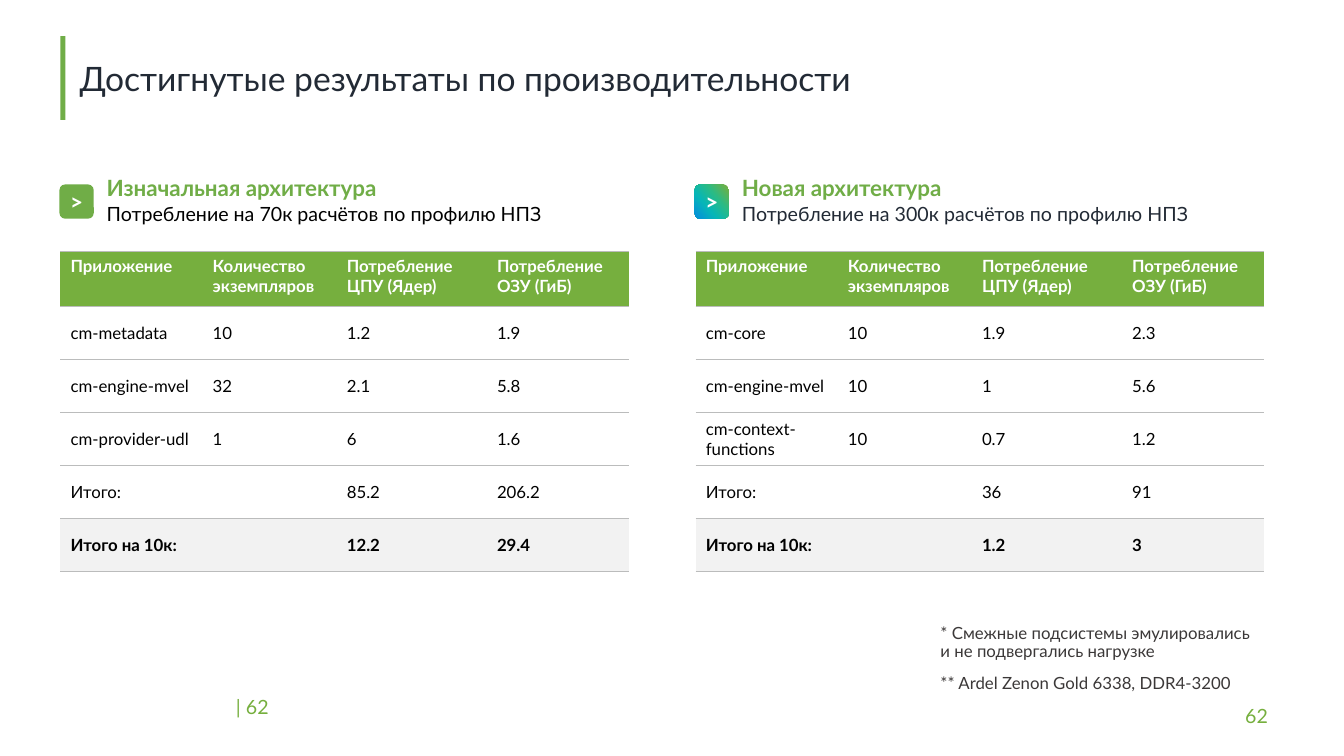
import copy
import lxml.etree
import pptx
import pptx.dml.color
import pptx.enum.shapes
import pptx.enum.text
import pptx.oxml.ns
import pptx.util

RGB = pptx.dml.color.RGBColor
SHAPE = pptx.enum.shapes.MSO_SHAPE
MIDDLE = pptx.enum.text.MSO_ANCHOR.MIDDLE
TOP = pptx.enum.text.MSO_ANCHOR.TOP
CENTER = pptx.enum.text.PP_ALIGN.CENTER
qn = pptx.oxml.ns.qn

GREEN = RGB(0x70, 0xAD, 0x47)
HEADER_GREEN = RGB(0x76, 0xAF, 0x3E)
NAVY = RGB(0x22, 0x2A, 0x35)
GRAY = RGB(0x3B, 0x38, 0x38)
RULE = RGB(0xBB, 0xBC, 0xBC)
TOTAL_FILL = RGB(0xF2, 0xF2, 0xF2)
BLACK = RGB(0, 0, 0)
WHITE = RGB(0xFF, 0xFF, 0xFF)
BADGE_STOPS = [
    (0.06, RGB(0x6E, 0xB0, 0x48)),
    (0.37, RGB(0x2A, 0xBB, 0x87)),
    (0.65, RGB(0x06, 0xB6, 0xB8)),
    (1.0, RGB(0x05, 0x8C, 0xDF)),
]
NO_STYLE = "{2D5ABB26-0587-4C30-8999-92F81FD0307C}"

TITLE = "Достигнутые результаты по производительности"
HEADER = ["Приложение", "Количество\nэкземпляров", "Потребление ЦПУ (Ядер)", "Потребление ОЗУ (ГиБ)"]
SECTIONS = [
    {
        "heading": "Изначальная архитектура",
        "detail": "Потребление на 70к расчётов по профилю НПЗ",
        "detail_color": BLACK,
        "stops": None,
        "rows": [
            ["cm-metadata", "10", "1.2", "1.9"],
            ["cm-engine-mvel", "32", "2.1", "5.8"],
            ["cm-provider-udl", "1", "6", "1.6"],
            ["Итого:", "", "85.2", "206.2"],
            ["Итого на 10к:", "", "12.2", "29.4"],
        ],
    },
    {
        "heading": "Новая архитектура",
        "detail": "Потребление на 300к расчётов по профилю НПЗ",
        "detail_color": NAVY,
        "stops": BADGE_STOPS,
        "rows": [
            ["cm-core", "10", "1.9", "2.3"],
            ["cm-engine-mvel", "10", "1", "5.6"],
            ["cm-context-functions", "10", "0.7", "1.2"],
            ["Итого:", "", "36", "91"],
            ["Итого на 10к:", "", "1.2", "3"],
        ],
    },
]
NOTES = (
    "* Смежные подсистемы эмулировались и не подвергались нагрузке\n"
    "** Ardel Zenon Gold 6338, DDR4-3200"
)
PAGE_NUMBERS = [("| 62", (2.34, 6.81, 0.92, 0.4)), ("62", (12.35, 6.9, 0.34, 0.4))]

LEFT = 0.6
SECTION_STEP = 6.3
COLUMNS = [1.41, 1.33, 1.49, 1.41]
ROWS = [0.55] + [0.525] * 5


def inches(*lengths):
    return [pptx.util.Inches(length) for length in lengths]


def write(frame, text, size, color, bold=False, spacing=None, before=0, align=None):
    frame.text = text
    font_format = {"name": "Lato", "size": pptx.util.Pt(size), "bold": bold}
    for index, para in enumerate(frame.paragraphs):
        para.line_spacing = spacing
        para.alignment = align
        if index and before:
            para.space_before = pptx.util.Pt(before)
        for span in para.runs:
            for name, value in font_format.items():
                setattr(span.font, name, value)
            span.font.color.rgb = color


def add_text(page, place, text, size, color, anchor=TOP, inset=None, **options):
    frame = page.shapes.add_textbox(*inches(*place)).text_frame
    frame.word_wrap = True
    frame.vertical_anchor = anchor
    if inset is not None:
        for side in ("left", "top", "right", "bottom"):
            setattr(frame, "margin_" + side, inset)
    write(frame, text, size, color, **options)


def add_block(page, kind, place, color):
    block = page.shapes.add_shape(kind, *inches(*place))
    block.shadow.inherit = False
    block.line.fill.background()
    block.fill.solid()
    block.fill.fore_color.rgb = color
    return block


def set_gradient(block, stops):
    block.fill.gradient()
    block.fill.gradient_angle = 220
    stop_list = block.fill.gradient_stops
    holder = next(block._element.iter(qn("a:gsLst")))
    for _ in range(len(stops) - len(stop_list)):
        holder.append(copy.deepcopy(holder[0]))
    for stop, (position, color) in zip(block.fill.gradient_stops, stops):
        stop.position = position
        stop.color.rgb = color


def rule_cell(cell):
    properties = cell._tc.get_or_add_tcPr()
    for index, side in enumerate(("a:lnT", "a:lnB")):
        line = lxml.etree.Element(qn(side), w=str(pptx.util.Pt(0.5)))
        solid = lxml.etree.SubElement(line, qn("a:solidFill"))
        lxml.etree.SubElement(solid, qn("a:srgbClr"), val=str(RULE))
        properties.insert(index, line)


def add_results(page, left, rows):
    place = inches(left, 2.49, sum(COLUMNS), sum(ROWS))
    frame = page.shapes.add_table(len(ROWS), len(COLUMNS), *place)
    table = frame.table
    table.first_row = table.horz_banding = False
    next(frame._element.iter(qn("a:tableStyleId"))).text = NO_STYLE
    for column, width in zip(table.columns, inches(*COLUMNS)):
        column.width = width
    for row, height in zip(table.rows, inches(*ROWS)):
        row.height = height
    last = len(rows)
    fills = {0: HEADER_GREEN, last: TOTAL_FILL}
    for row, values in enumerate([HEADER] + rows):
        for column, value in enumerate(values):
            cell = table.cell(row, column)
            cell.vertical_anchor = MIDDLE if row else TOP
            write(cell.text_frame, value, 12, BLACK if row else WHITE, bold=row in fills)
            if not value:
                cell.text_frame.paragraphs[0].font.size = pptx.util.Pt(12)
            if row in fills:
                cell.fill.solid()
                cell.fill.fore_color.rgb = fills[row]
            else:
                cell.fill.background()
            rule_cell(cell)


def add_section(page, left, section):
    badge = add_block(page, SHAPE.ROUNDED_RECTANGLE, (left - 0.01, 1.83, 0.34, 0.34), GREEN)
    if section["stops"]:
        set_gradient(badge, section["stops"])
    badge.text_frame.vertical_anchor = MIDDLE
    badge.text_frame.word_wrap = False
    write(badge.text_frame, ">", 16, WHITE, bold=True, align=CENTER)
    text_left = left + 0.36
    add_text(page, (text_left, 1.71, 5.3, 0.34), section["heading"], 16, GREEN, bold=True, spacing=0.9)
    add_text(page, (text_left, 1.95, 4.98, 0.34), section["detail"], 14, section["detail_color"])
    add_results(page, left, section["rows"])


def main():
    deck = pptx.Presentation()
    deck.slide_width, deck.slide_height = inches(13.33, 7.5)
    page = deck.slides.add_slide(deck.slide_layouts[5])
    title = page.shapes.title
    title.left, title.top, title.width, title.height = inches(0.69, 0.53, 12, 0.53)
    title.text_frame.vertical_anchor = MIDDLE
    write(title.text_frame, TITLE, 24, NAVY, spacing=0.9, align=pptx.enum.text.PP_ALIGN.LEFT)
    add_block(page, SHAPE.RECTANGLE, (LEFT, 0.36, 0.05, 0.83), GREEN)
    for index, section in enumerate(SECTIONS):
        add_section(page, LEFT + index * SECTION_STEP, section)
    add_text(page, (9.23, 6.15, 3.3, 0.81), NOTES, 12, GRAY, spacing=0.9, before=10)
    for text, place in PAGE_NUMBERS:
        add_text(page, place, text, 14, HEADER_GREEN, anchor=MIDDLE, inset=0)
    deck.save("out.pptx")


if __name__ == "__main__":
    main()
